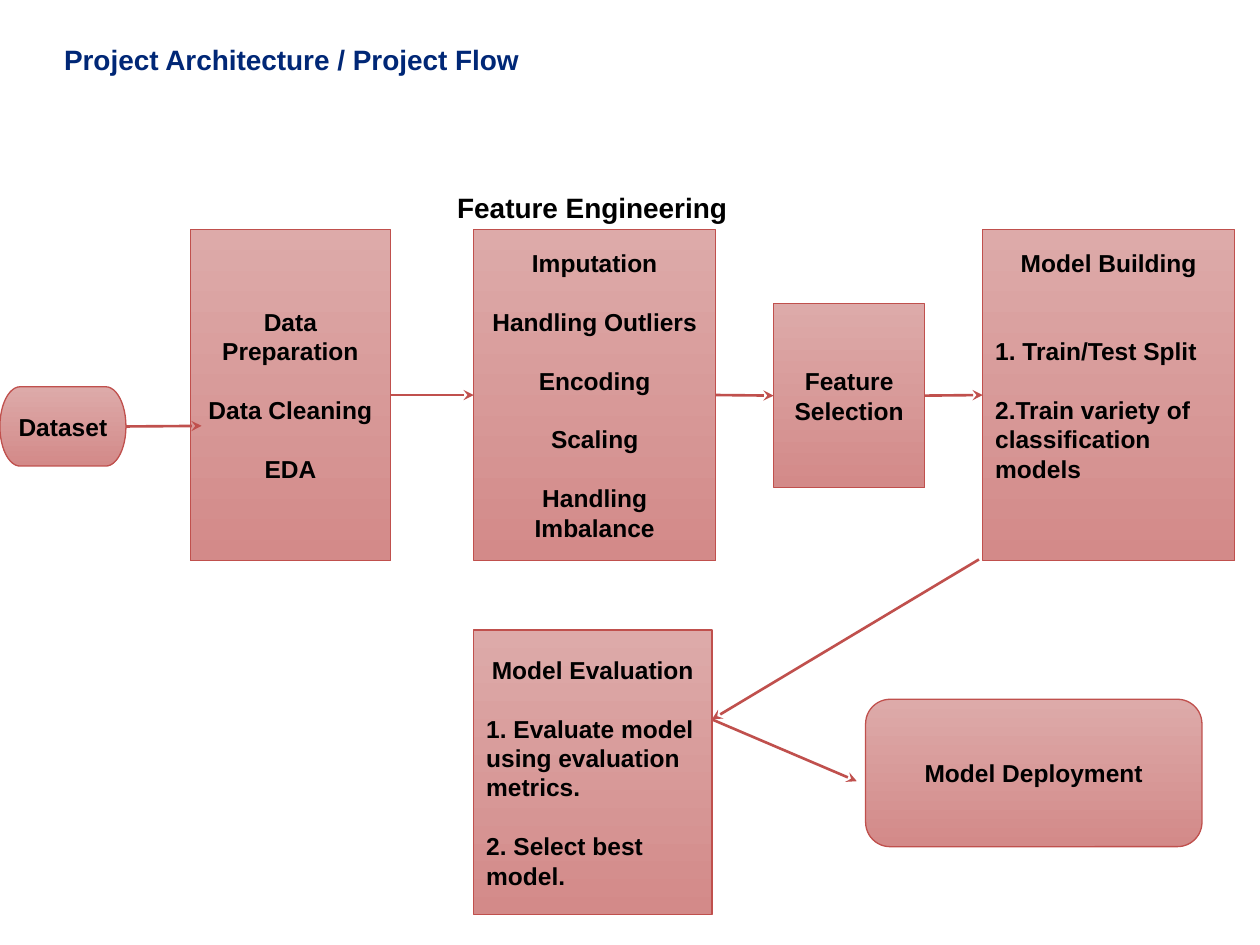
import pptx
import pptx.util
import pptx.dml.color
import pptx.enum.shapes
import pptx.enum.text
import pptx.oxml.ns
import lxml.etree

Pt = pptx.util.Pt
RGB = pptx.dml.color.RGBColor.from_string
Kind = pptx.enum.shapes.MSO_SHAPE
Align = pptx.enum.text.PP_ALIGN
qn = pptx.oxml.ns.qn

INK = {"title": "002776", "text": "000000", "edge": "C0504D",
       "light": "DDAAA9", "dark": "D38A89"}
LINE = 16.8  # height of one text line in points

deck = pptx.Presentation()
deck.slide_width = pptx.util.Inches(10)
deck.slide_height = pptx.util.Inches(7.5)
slide = deck.slides.add_slide(deck.slide_layouts[6])
shapes = slide.shapes


def scale(*spots):
    """Turn x, y pairs in percent of the slide into lengths."""
    sides = (deck.slide_width, deck.slide_height)
    return [int(sides[i % 2] * spot / 100) for i, spot in enumerate(spots)]


def write(frame, rows, size, color):
    """Fill a frame with rows of (text, alignment, blank lines above)."""
    frame.word_wrap = True
    frame.text = "\n".join(row[0] for row in rows)
    for par, (_, align, gap) in zip(frame.paragraphs, rows):
        par.alignment = align
        par.space_before = Pt(gap * LINE)
        font = par.runs[0].font
        font.name, font.size, font.bold = "Arial", Pt(size), True
        font.color.rgb = RGB(color)


# Headings
for text, area, color in [
    ("Project Architecture / Project Flow", (4.1, 3.87, 67.1, 4.93), "title"),
    ("Feature Engineering", (35.3, 19.47, 23.5, 4.93), "text"),
]:
    label = shapes.add_textbox(*scale(*area))
    write(label.text_frame, [(text, Align.LEFT, 0)], 16, INK[color])
    label.text_frame.auto_size = pptx.enum.text.MSO_AUTO_SIZE.SHAPE_TO_FIT_TEXT

# Steps: name, shape, area in percent, blank lines below the text, rows
MID, LEFT = Align.CENTER, Align.LEFT
TOP, TALL = 24.27, 35.07
steps = [
    ("data", Kind.FLOWCHART_TERMINATOR, (0, 40.93, 10, 8.4), 0,
     [("Dataset", MID, 0)]),
    ("prep", Kind.RECTANGLE, (15.1, TOP, 15.9, TALL), 0,
     [("Data Preparation", MID, 0), ("Data Cleaning", MID, 1),
      ("EDA", MID, 1)]),
    ("craft", Kind.RECTANGLE, (37.6, TOP, 19.2, TALL), 0,
     [("Imputation", MID, 0), ("Handling Outliers", MID, 1),
      ("Encoding", MID, 1), ("Scaling", MID, 1),
      ("Handling Imbalance", MID, 1)]),
    ("build", Kind.RECTANGLE, (78, TOP, 20, TALL), 2,
     [("Model Building", MID, 0), ("1. Train/Test Split", LEFT, 2),
      ("2.Train variety of classification models", LEFT, 1)]),
    ("judge", Kind.FLOWCHART_PROCESS, (37.6, 66.67, 18.9, 30.13), 0,
     [("Model Evaluation", MID, 0),
      ("1. Evaluate model using evaluation metrics.", LEFT, 1),
      ("2. Select best model.", LEFT, 1)]),
    ("ship", Kind.FLOWCHART_ALTERNATE_PROCESS, (68.7, 74, 26.7, 15.6), 0,
     [("Model Deployment", MID, 0)]),
    ("pick", Kind.FLOWCHART_PROCESS, (61.4, 32.13, 12, 19.47), 0,
     [("Feature", MID, 0), ("Selection", MID, 0)]),
]
boxes = {}
for name, kind, area, below, rows in steps:
    box = boxes[name] = shapes.add_shape(kind, *scale(*area))
    box.shadow.inherit = False
    box.fill.gradient()
    box.fill.gradient_angle = 270
    for stop, tone in zip(box.fill.gradient_stops, ("light", "dark")):
        stop.color.rgb = RGB(INK[tone])
    box.line.color.rgb = RGB(INK["edge"])
    box.line.width = Pt(0.75)
    frame = box.text_frame
    frame.vertical_anchor = pptx.enum.text.MSO_ANCHOR.MIDDLE
    frame.margin_bottom = Pt(3.6 + below * LINE)
    write(frame, rows, 14, INK["text"])

# Arrows: ends in percent, then the steps joined at start and end
AXIS = 41.87
for ends, start, end in [
    ((10, 45.13, 16, 45.07), "data", None),
    ((31, AXIS, 37.6, AXIS), "prep", "craft"),
    ((56.8, AXIS, 61.4, AXIS), "craft", "pick"),
    ((73.4, AXIS, 78, AXIS), "pick", "build"),
    ((77.7, 59.2, 56.5, 76.13), None, None),
    ((56.5, 76.13, 68, 82.67), None, None),
]:
    arrow = shapes.add_connector(
        pptx.enum.shapes.MSO_CONNECTOR.STRAIGHT, *scale(*ends))
    if start:
        arrow.begin_connect(boxes[start], 3)
    if end:
        arrow.end_connect(boxes[end], 1)
    arrow.line.color.rgb = RGB(INK["edge"])
    arrow.line.width = Pt(1.5)
    props = arrow.element.find(qn("p:spPr"))
    lxml.etree.SubElement(props.find(qn("a:ln")), qn("a:tailEnd"), type="stealth")
    lxml.etree.SubElement(props, qn("a:effectLst"))

deck.save("out.pptx")
